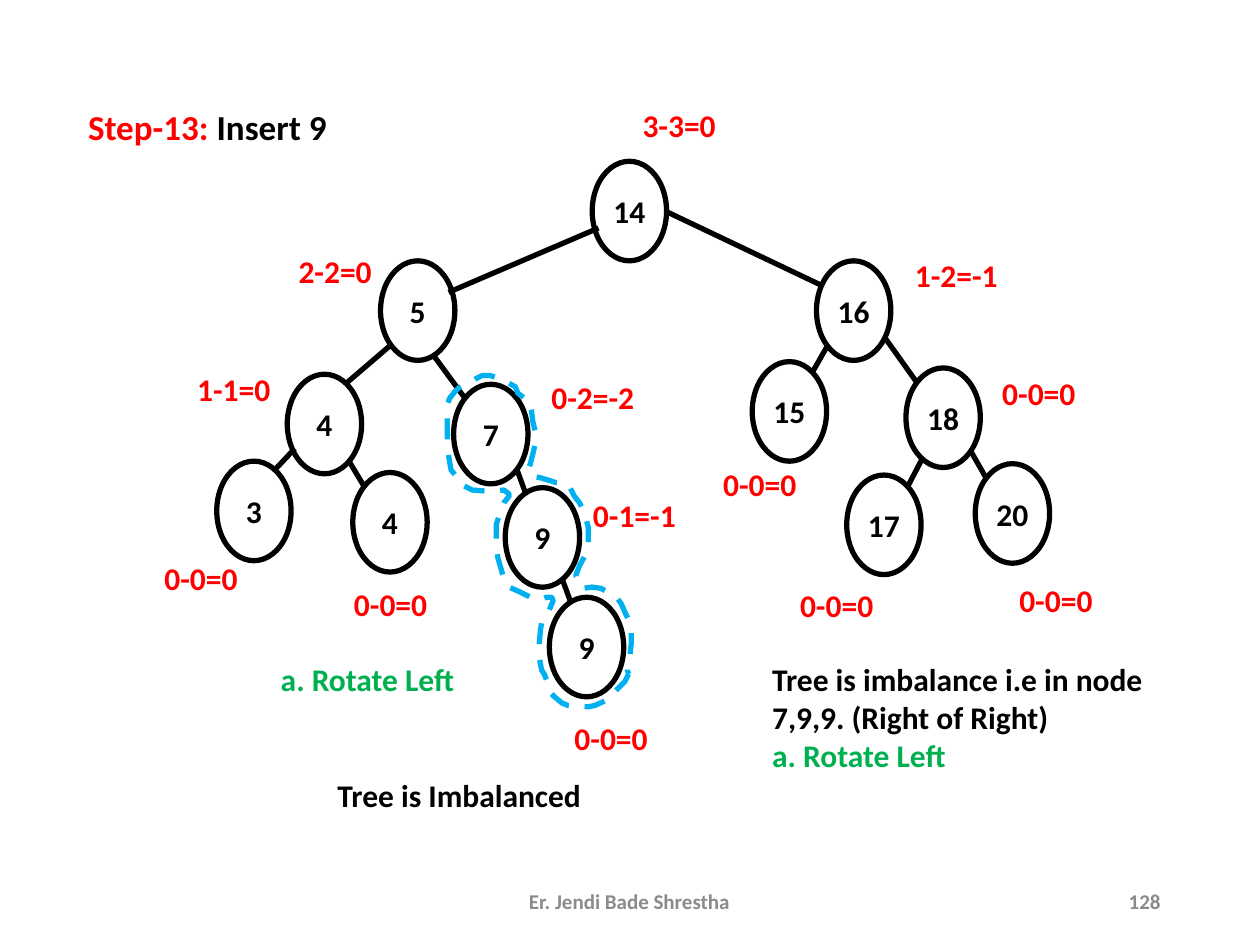
from lxml.etree import SubElement
from pptx import Presentation
from pptx.dml.color import RGBColor
from pptx.enum.dml import MSO_LINE
from pptx.enum.shapes import MSO_CONNECTOR, MSO_SHAPE
from pptx.enum.text import MSO_ANCHOR, PP_ALIGN
from pptx.oxml.ns import qn
from pptx.util import Pt

PX = 9144  # 100 px to the inch
BLACK, RED, GREEN, BLUE, GREY = "000000", "FF0000", "00B050", "00B0F0", "8B8B8B"
NODE_WIDTH, NODE_HEIGHT = 59, 79


def style_run(run, color, size=18):
    run.font.name = "Calibri"
    run.font.size = Pt(size)
    run.font.bold = True
    run.font.color.rgb = RGBColor.from_string(color)


def add_text(left, top, width, height, lines, align=PP_ALIGN.LEFT, size=18):
    """Add a text box; each line is a list of (text, color) runs."""
    box = slide.shapes.add_textbox(left * PX, top * PX, width * PX, height * PX)
    frame = box.text_frame
    frame.word_wrap = True
    for index, runs in enumerate(lines):
        paragraph = frame.paragraphs[0] if index == 0 else frame.add_paragraph()
        paragraph.alignment = align
        for text, color in runs:
            run = paragraph.add_run()
            run.text = text
            style_run(run, color, size)
    return frame


presentation = Presentation()
presentation.slide_width = 1000 * PX
presentation.slide_height = 750 * PX
slide = presentation.slides.add_slide(presentation.slide_layouts[6])

# Tree nodes: key, left, top
nodes = [
    ("14", 470, 128), ("5", 302, 207), ("16", 648, 207),
    ("4", 228, 297), ("7", 360, 305), ("15", 597, 287), ("18", 719, 292),
    ("3", 172, 366), ("4", 280, 375), ("9", 401, 387),
    ("17", 672, 377), ("20", 774, 368), ("9", 436, 474),
]
for key, left, top in nodes:
    node = slide.shapes.add_shape(
        MSO_SHAPE.OVAL, left * PX, top * PX, NODE_WIDTH * PX, NODE_HEIGHT * PX)
    node.shadow.inherit = False
    node.fill.solid()
    node.fill.fore_color.rgb = RGBColor.from_string("FFFFFF")
    node.line.color.rgb = RGBColor.from_string(BLACK)
    node.line.width = Pt(3)
    frame = node.text_frame
    frame.text = key
    frame.word_wrap = False
    frame.margin_left = frame.margin_right = 0
    frame.vertical_anchor = MSO_ANCHOR.MIDDLE
    frame.paragraphs[0].alignment = PP_ALIGN.CENTER
    style_run(frame.paragraphs[0].runs[0], BLACK)

# Tree edges, from the rim of one node to the rim of the next
edges = [
    (475, 181, 356, 232), (529, 168, 651, 226),
    (310, 274, 275, 304), (344, 282, 369, 316),
    (657, 274, 645, 295), (703, 269, 728, 304),
    (234, 356, 218, 373), (277, 366, 289, 386),
    (410, 372, 417, 391), (446, 459, 453, 478),
    (732, 364, 721, 385), (771, 359, 783, 380),
]
for edge in edges:
    connector = slide.shapes.add_connector(
        MSO_CONNECTOR.STRAIGHT, *(value * PX for value in edge))
    connector.line.color.rgb = RGBColor.from_string(BLACK)
    connector.line.width = Pt(3)
    SubElement(connector._element.spPr, qn("a:effectLst"))

# Balance factors: text, left, top, width
balance_factors = [
    ("3-3=0", 497, 79, 84), ("2-2=0", 224, 195, 84), ("1-2=-1", 705, 198, 108),
    ("1-1=0", 113, 289, 145), ("0-2=-2", 404, 295, 133), ("0-0=0", 758, 292, 133),
    ("0-0=0", 543, 364, 120), ("0-0=0", 100, 439, 119), ("0-0=0", 247, 459, 126),
    ("0-1=-1", 430, 389, 147), ("0-0=0", 590, 460, 148), ("0-0=0", 774, 456, 128),
    ("0-0=0", 413, 566, 144),
]
for factor, left, top, width in balance_factors:
    add_text(left, top, width, 40, [[(factor, RED)]], PP_ALIGN.CENTER)

add_text(60, 79, 242, 43, [[("Step-13: ", RED), ("Insert 9", BLACK)]], size=20)
add_text(258, 611, 322, 40, [[("Tree is Imbalanced", BLACK)]])
add_text(213, 519, 180, 40, [[("a. Rotate Left", GREEN)]])
add_text(603, 519, 346, 100, [
    [("Tree is imbalance i.e in node 7,9,9. (Right of Right)", BLACK)],
    [("a. Rotate Left", GREEN)],
])

# Dashed outline around the imbalanced nodes 7, 9, 9
outline_points = [
    (499, 535), (496, 541), (492, 545), (486, 551), (481, 556), (472, 560),
    (467, 561), (451, 560), (446, 558), (440, 553), (436, 549), (435, 543),
    (432, 535), (430, 532), (428, 522), (428, 511), (429, 500), (430, 494),
    (436, 484), (439, 477), (438, 474), (434, 474), (429, 476), (421, 474),
    (413, 470), (404, 466), (402, 464), (399, 456), (395, 442), (394, 436),
    (394, 416), (397, 407), (400, 399), (404, 394), (404, 392), (400, 389),
    (388, 390), (375, 389), (367, 385), (364, 383), (362, 378), (358, 373),
    (356, 361), (355, 355), (355, 321), (357, 316), (361, 311), (364, 308),
    (372, 304), (377, 301), (383, 298), (389, 298), (400, 302), (409, 307),
    (411, 312), (416, 316), (420, 318), (422, 327), (423, 335), (425, 343),
    (425, 352), (423, 360), (421, 368), (420, 371), (420, 375), (422, 378),
    (428, 379), (435, 381), (441, 383), (448, 384), (452, 386), (456, 394),
    (460, 399), (464, 407), (467, 419), (467, 431), (465, 440), (460, 449),
    (457, 457), (460, 460), (463, 467), (470, 466), (477, 467), (484, 471),
    (490, 475), (493, 479), (497, 488), (499, 492), (501, 500), (501, 511),
    (500, 521), (498, 529), (498, 532),
]
builder = slide.shapes.build_freeform(*outline_points[0], scale=PX)
builder.add_line_segments(outline_points[1:], close=True)
outline = builder.convert_to_shape()
outline.shadow.inherit = False
outline.fill.background()
outline.line.color.rgb = RGBColor.from_string(BLUE)
outline.line.width = Pt(3)
outline.line.dash_style = MSO_LINE.DASH

footer = add_text(331, 695, 337, 40, [[("Er. Jendi Bade Shrestha", GREY)]],
                  PP_ALIGN.CENTER, 12)
page_number = add_text(706, 695, 225, 40, [[("128", GREY)]], PP_ALIGN.RIGHT, 12)
for frame in (footer, page_number):
    frame.vertical_anchor = MSO_ANCHOR.MIDDLE

presentation.save("out.pptx")
